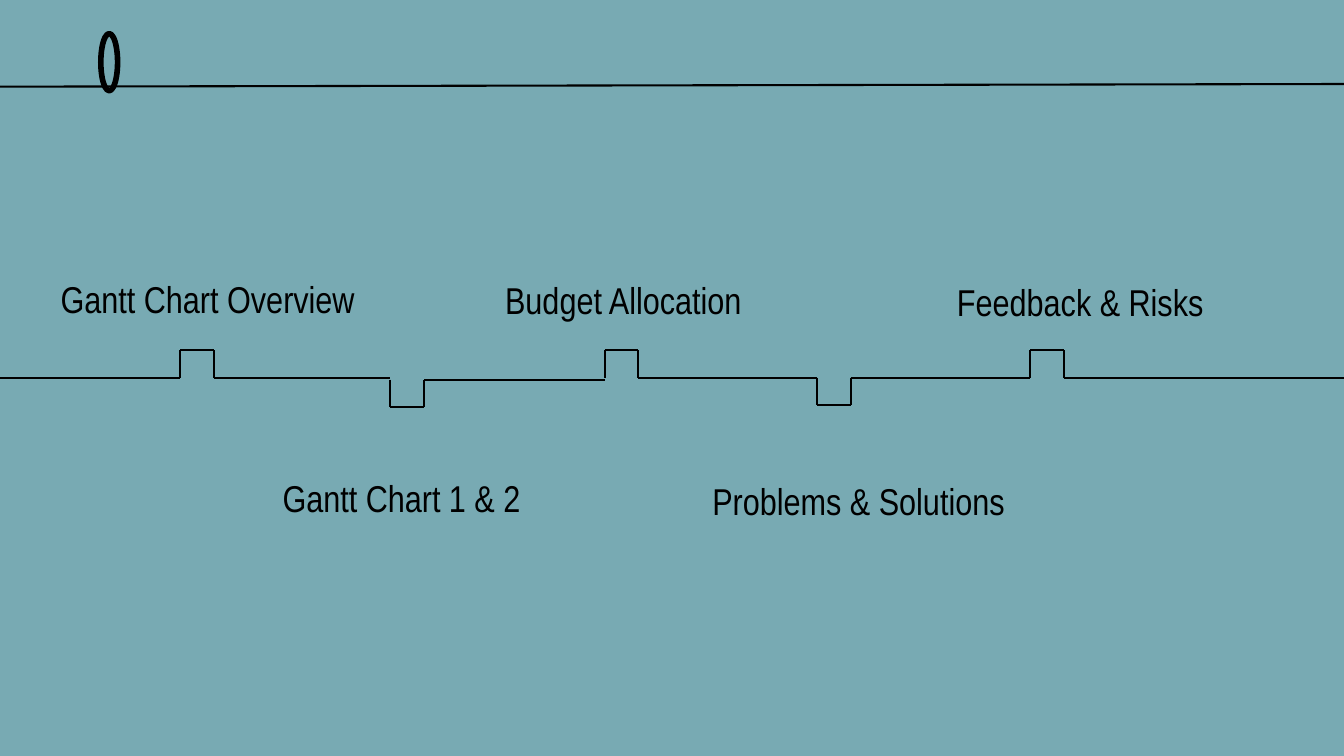
from typing import NamedTuple

from pptx import Presentation
from pptx.dml.color import RGBColor
from pptx.enum.shapes import MSO_CONNECTOR as Link, MSO_SHAPE as Shape
from pptx.enum.text import MSO_AUTO_SIZE as Fit, PP_ALIGN as Align
from pptx.oxml.ns import qn
from pptx.util import Pt
from lxml.etree import SubElement

PX = 9144  # 100 px to the inch
WIDE, HIGH = 2000, 1125
BACK, INK = "78AAB3", "000000"
FONT = "Arial Narrow"
BASE, NOTCH, RISE = 562, 50, 41


class Label(NamedTuple):
    text: str
    left: int
    top: int
    width: int = 1079
    height: int = 147


class Step(NamedTuple):
    left: int
    rise: int  # negative goes up, positive goes down
    base: int = BASE


LABELS = [
    Label("Gantt Chart Overview", -192, 307, 1002),
    Label("Gantt Chart 1 & 2", 58, 603, height=151),
    Label("Budget Allocation", 388, 309),
    Label("Problems & Solutions", 738, 607),
    Label("Feedback & Risks", 1068, 312),
]
STEPS = [
    Step(268, -RISE),
    Step(581, RISE, 565),
    Step(900, -RISE),
    Step(1216, RISE),
    Step(1533, -RISE),
]


def color(code: str) -> RGBColor:
    return RGBColor.from_string(code)


def add_label(slide, item: Label) -> None:
    box = slide.shapes.add_textbox(
        item.left * PX, item.top * PX, item.width * PX, item.height * PX)
    frame = box.text_frame
    frame.word_wrap = True
    frame.auto_size = Fit.SHAPE_TO_FIT_TEXT
    para = frame.paragraphs[0]
    para.text = item.text
    para.alignment = Align.CENTER
    para.line_spacing = Pt(119.4)
    para.font.name = FONT
    para.font.size = Pt(40)
    para.font.color.rgb = color(INK)


def add_line(slide, x1: int, y1: int, x2: int, y2: int) -> None:
    line = slide.shapes.add_connector(
        Link.STRAIGHT, x1 * PX, y1 * PX, x2 * PX, y2 * PX)
    line.line.color.rgb = color(INK)
    line.line.width = Pt(2.25)
    SubElement(line._element.spPr, qn("a:effectLst"))


def add_step(slide, step: Step, end: int) -> None:
    """Draw a three-sided notch and the run from it to the next one."""
    left, right = step.left, step.left + NOTCH
    base, tip = step.base, step.base + step.rise
    add_line(slide, left, base, left, tip)
    add_line(slide, left, tip, right, tip)
    add_line(slide, right, tip, right, base)
    add_line(slide, right, base, end, base)


def add_ring(slide, left: int, top: int, width: int, height: int) -> None:
    ring = slide.shapes.add_shape(
        Shape.OVAL, left * PX, top * PX, width * PX, height * PX)
    ring.shadow.inherit = False
    ring.fill.background()
    ring.line.color.rgb = color(INK)
    ring.line.width = Pt(6)


def main() -> None:
    deck = Presentation()
    deck.slide_width, deck.slide_height = WIDE * PX, HIGH * PX
    slide = deck.slides.add_slide(deck.slide_layouts[6])
    fill = slide.background.fill
    fill.solid()
    fill.fore_color.rgb = color(BACK)

    # Section names
    for item in LABELS:
        add_label(slide, item)

    # Timeline with notches
    add_line(slide, 0, BASE, STEPS[0].left, BASE)
    ends = [step.left for step in STEPS[1:]] + [WIDE]
    for step, end in zip(STEPS, ends):
        add_step(slide, step, end)

    # Top rule and its marker
    add_line(slide, 0, 129, WIDE, 125)
    add_ring(slide, 150, 50, 25, 85)

    deck.save("out.pptx")


if __name__ == "__main__":
    main()
